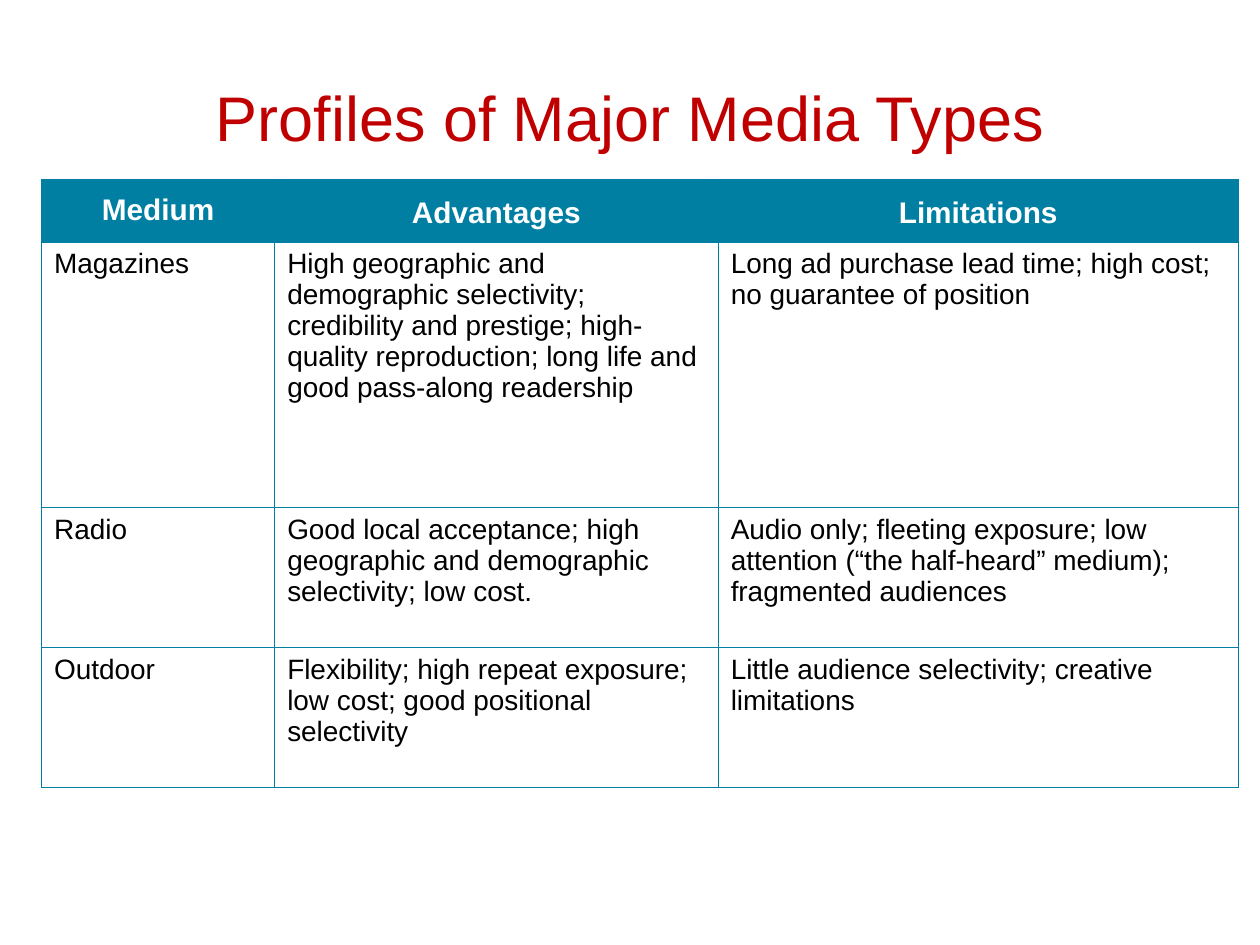
"""Build the slide on the profiles of major media types."""
from lxml.etree import SubElement
from pptx import Presentation
from pptx.dml.color import RGBColor
from pptx.enum.text import MSO_ANCHOR, PP_ALIGN
from pptx.oxml.ns import qn
from pptx.util import Inches, Pt

TEAL = "007FA3"
COLS = [1.85, 3.52, 4.13]
HEIGHTS = [0.5, 2.11, 1.11, 1.11]
ROWS = [
    ["Medium", "Advantages", "Limitations"],
    ["Magazines",
     "High geographic and demographic selectivity; credibility and prestige; "
     "high-quality reproduction; long life and good pass-along readership",
     "Long ad purchase lead time; high cost; no guarantee of position"],
    ["Radio",
     "Good local acceptance; high geographic and demographic\nselectivity; low cost.",
     "Audio only; fleeting exposure; low attention (“the half-heard” medium); "
     "fragmented audiences"],
    ["Outdoor",
     "Flexibility; high repeat exposure; low cost; good positional selectivity",
     "Little audience selectivity; creative limitations"],
]


def style(p, size, color, bold=False):
    for r in p.runs:
        r.font.name = "Arial"
        r.font.size = Pt(size)
        r.font.bold = bold
        r.font.color.rgb = RGBColor.from_string(color)


def add_borders(cell, color, width):
    tcPr = cell._tc.get_or_add_tcPr()
    for side in ("lnL", "lnR", "lnT", "lnB"):
        ln = SubElement(tcPr, qn(f"a:{side}"), w=str(Pt(width)))
        fill = SubElement(ln, qn("a:solidFill"))
        SubElement(fill, qn("a:srgbClr"), val=color)


prs = Presentation()
prs.slide_width, prs.slide_height = Inches(10), Inches(7.5)
s = prs.slides.add_slide(prs.slide_layouts[6])

title = s.shapes.add_textbox(Inches(0.5), Inches(0.3), Inches(9), Inches(1.25))
tf = title.text_frame
tf.word_wrap = True
tf.vertical_anchor = MSO_ANCHOR.MIDDLE
tf.text = "Profiles of Major Media Types"
p = tf.paragraphs[0]
p.alignment = PP_ALIGN.CENTER
style(p, 36, "C00000")

table = s.shapes.add_table(len(ROWS), len(COLS), Inches(0.33), Inches(1.42),
                           Inches(sum(COLS)), Inches(sum(HEIGHTS))).table
for col, width in zip(table.columns, COLS):
    col.width = Inches(width)
for row, height in zip(table.rows, HEIGHTS):
    row.height = Inches(height)

for i, texts in enumerate(ROWS):
    header = i == 0
    for j, text in enumerate(texts):
        cell = table.cell(i, j)
        add_borders(cell, TEAL, 0.5)
        cell.fill.solid()
        cell.fill.fore_color.rgb = RGBColor.from_string(TEAL if header else "FFFFFF")
        cell.vertical_anchor = MSO_ANCHOR.MIDDLE if header else MSO_ANCHOR.TOP
        cell.margin_left = cell.margin_right = Inches(0.07 if header else 0.1)
        cell.margin_top = cell.margin_bottom = Inches(0 if header else 0.05)
        cell.text_frame.text = text
        for p in cell.text_frame.paragraphs:
            if header:
                p.alignment = PP_ALIGN.CENTER
                p.line_spacing = 1.15 if j else 1.0
                style(p, 17, "FFFFFF", True)
            else:
                style(p, 16, "000000")

prs.save("out.pptx")
